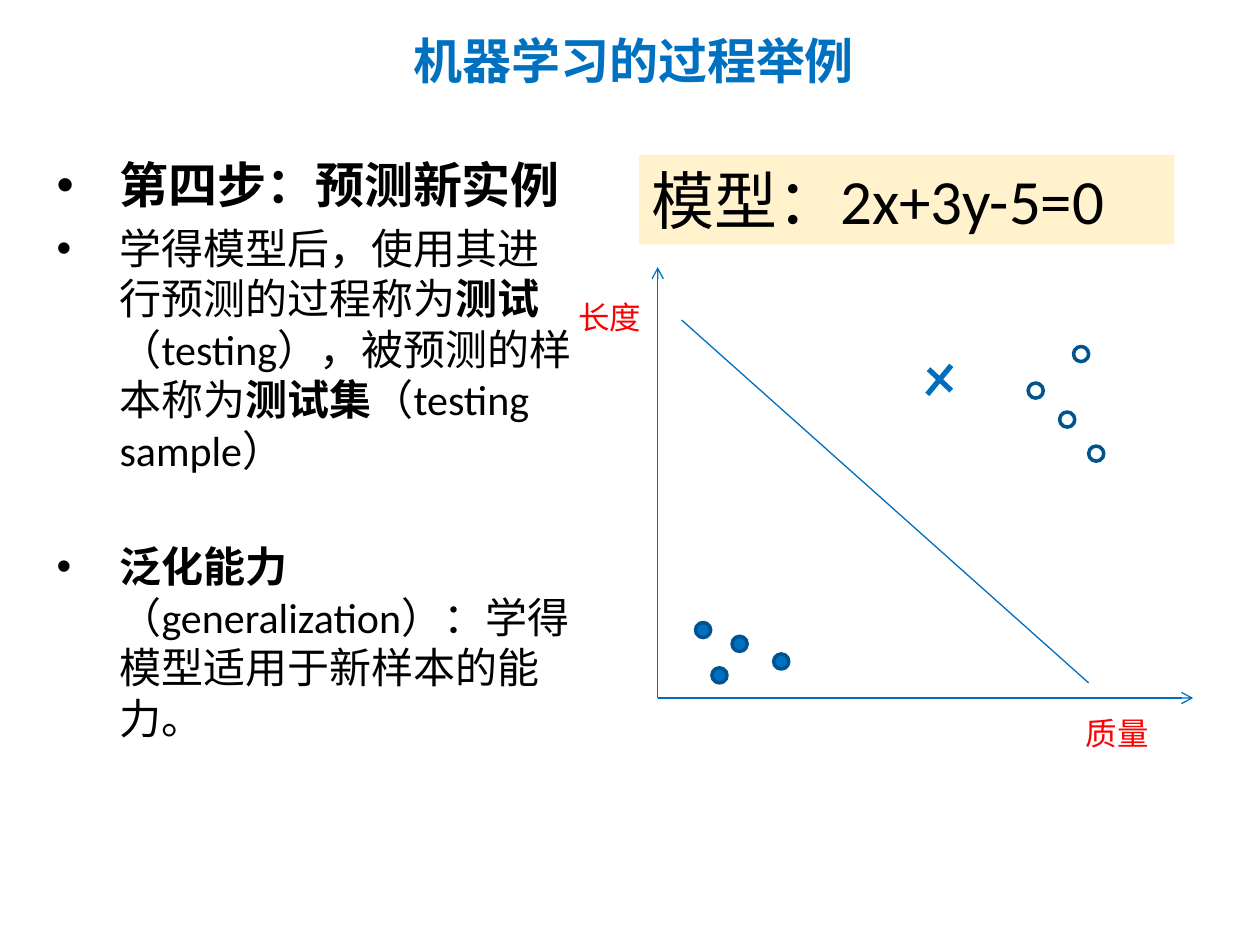
from lxml.etree import SubElement
from pptx import Presentation
from pptx.dml.color import RGBColor
from pptx.enum.lang import MSO_LANGUAGE_ID as Lang
from pptx.enum.shapes import MSO_CONNECTOR as Link, MSO_SHAPE as Form
from pptx.enum.text import PP_ALIGN as Align
from pptx.oxml.ns import qn
from pptx.util import Inches, Pt

BLUE, RIM, LINE = "0070C0", "00538E", "006EBC"
BLACK, RED, CREAM = "000000", "FF0000", "FFF2CC"
DOT = 0.12


def color(code):
    return RGBColor.from_string(code)


def box(*sizes):
    return [Inches(size) for size in sizes]


class Board:
    font = "Calibri"

    def __init__(self, slide):
        self.slide = slide
        self.shapes = slide.shapes

    def run(self, para, words, size, tint=BLACK, **form):
        run = para.add_run()
        run.text = words
        look = {"name": self.font, "size": Pt(size), "bold": False,
                "language_id": Lang.SIMPLIFIED_CHINESE, **form}
        for key, value in look.items():
            setattr(run.font, key, value)
        run.font.color.rgb = color(tint)

    def text(self, place, words, size, tint, align=Align.LEFT, **form):
        frame = self.shapes.add_textbox(*box(*place)).text_frame
        frame.word_wrap = True
        para = frame.paragraphs[0]
        para.alignment = align
        self.run(para, words, size, tint, **form)

    def bullets(self, place, items):
        """Items are (space before, size, [(words, bold), ...])."""
        frame = self.shapes.add_textbox(*box(*place)).text_frame
        frame.word_wrap = True
        for i, (space, size, parts) in enumerate(items):
            para = frame.add_paragraph() if i else frame.paragraphs[0]
            props = para._p.get_or_add_pPr()
            props.set("marL", str(Inches(0.5)))
            props.set("indent", str(-Inches(0.5)))
            para.space_before = Pt(space)
            SubElement(props, qn("a:buFont"), typeface="Arial")
            SubElement(props, qn("a:buChar"), char="•")
            for words, bold in parts:
                self.run(para, words, size, bold=bold)

    def panel(self, place, words, size):
        shape = self.shapes.add_shape(Form.RECTANGLE, *box(*place))
        shape.shadow.inherit = False
        shape.fill.solid()
        shape.fill.fore_color.rgb = color(CREAM)
        shape.line.fill.background()
        para = shape.text_frame.paragraphs[0]
        para.alignment = Align.LEFT
        self.run(para, words, size)

    def dot(self, left, top, fill=None):
        shape = self.shapes.add_shape(Form.OVAL, *box(left, top, DOT, DOT))
        shape.shadow.inherit = False
        if fill:
            shape.fill.solid()
            shape.fill.fore_color.rgb = color(fill)
        else:
            shape.fill.background()
        shape.line.color.rgb = color(RIM)
        shape.line.width = Pt(2)

    def rule(self, start, end, width=0.75, arrow=False):
        link = self.shapes.add_connector(Link.STRAIGHT, *box(*start, *end))
        link.line.color.rgb = color(LINE)
        link.line.width = Pt(width)
        if arrow:
            SubElement(link.line._get_or_add_ln(), qn("a:tailEnd"), type="arrow")
        SubElement(link._element.spPr, qn("a:effectLst"))


def main():
    deck = Presentation()
    deck.slide_width, deck.slide_height = box(10, 7.5)
    board = Board(deck.slides.add_slide(deck.slide_layouts[6]))

    board.bullets((0.35, 1.18, 4.31, 6.1), [
        (0, 28, [("第四步：预测新实例", True)]),
        (5, 24, [("学得模型后，使用其进行预测的过程称为", False),
                 ("测试", True),
                 ("（testing），被预测的样本称为", False),
                 ("测试集", True),
                 ("（testing sample）", False)]),
        (38, 24, [("泛化能力", True),
                  ("（generalization）：学得模型适用于新样本的能力。", False)]),
    ])
    board.text((0.03, 0.19, 10, 0.57), "机器学习的过程举例", 28, BLUE,
               Align.CENTER, bold=True, name="Noto Sans CJK SC")

    origin = (5.22, 5.54)
    for tip in ((9.47, 5.54), (5.22, 2.12)):
        board.rule(origin, tip, arrow=True)
    for spot in ((5.52, 4.94), (6.14, 5.19), (5.81, 5.05), (5.65, 5.3)):
        board.dot(*spot, BLUE)
    for spot in ((8.16, 3.04), (8.52, 2.75), (8.41, 3.27), (8.64, 3.54)):
        board.dot(*spot)
    board.rule((5.41, 2.54), (8.64, 5.42))

    board.text((8.52, 5.62, 0.8, 0.4), "质量", 18, RED)
    board.text((4.49, 2.32, 1.09, 0.4), "长度", 18, RED)
    board.rule((7.55, 2.9), (7.36, 3.13), 3)
    board.rule((7.55, 3.1), (7.37, 2.93), 3)
    board.panel((5.07, 1.23, 4.25, 0.71), "模型：2x+3y-5=0", 36)
    deck.save("out.pptx")


if __name__ == "__main__":
    main()
